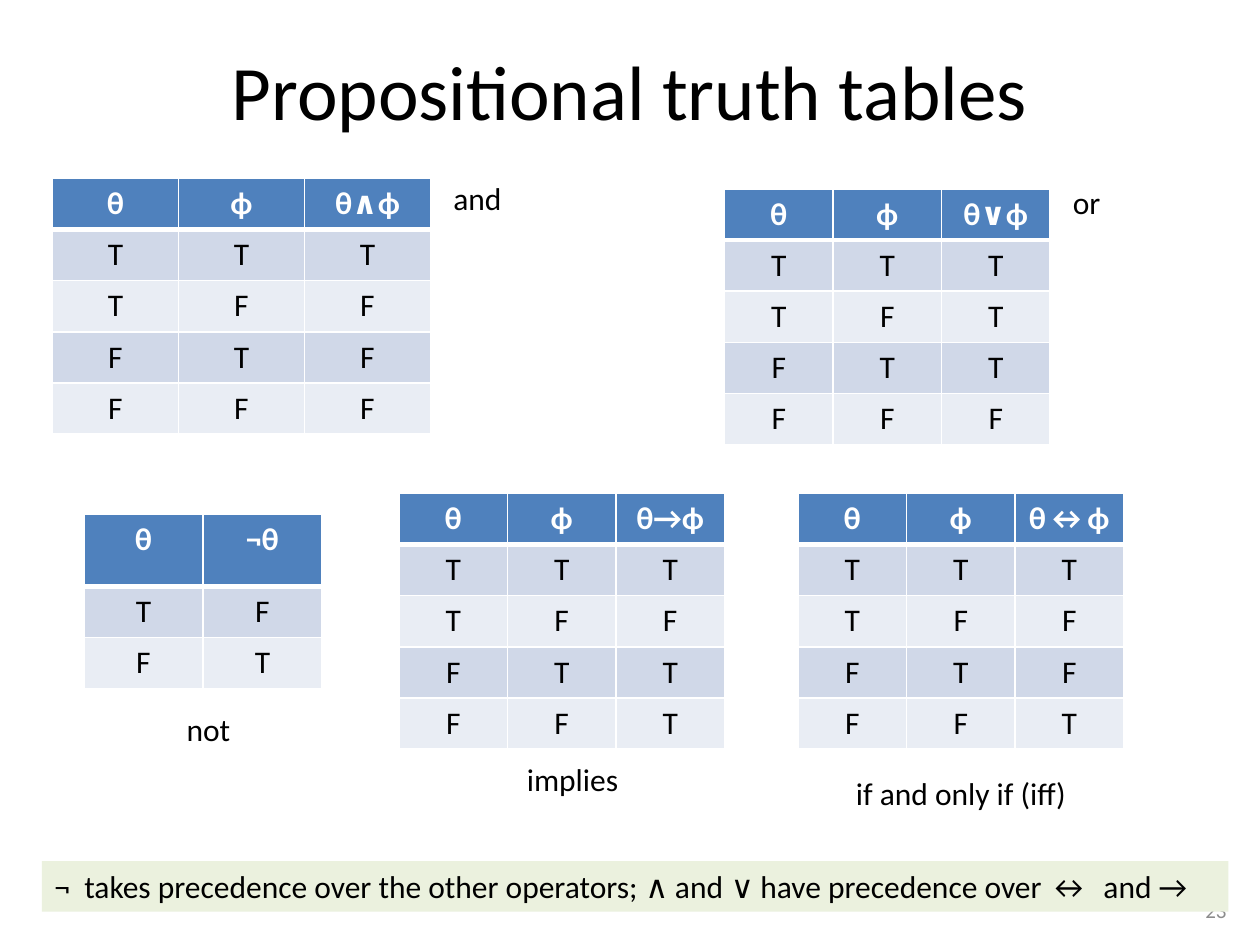
from dataclasses import dataclass
from itertools import product

from lxml.etree import SubElement
from pptx import Presentation
from pptx.dml.color import RGBColor as RGB
from pptx.enum.shapes import MSO_SHAPE as Shape
from pptx.enum.text import MSO_ANCHOR as Anchor, MSO_AUTO_SIZE as Fit, PP_ALIGN as Align
from pptx.oxml.ns import qn
from pptx.util import Pt


@dataclass(frozen=True)
class Theme:
    font: str = "Calibri"
    ink: str = "000000"
    white: str = "FFFFFF"
    head: str = "4F81BD"
    bands: tuple = ("D0D8E8", "E9EDF4")
    note: str = "EBF1DE"
    gray: str = "8C8C8C"
    title: int = 44
    body: int = 18
    small: int = 12
    rule: int = 1
    thick: int = 3


THEME = Theme()
ROW = 29.2

# left, top, column width, head height, column names, operator
TABLES = [
    (30, 102, 72, ROW, ("θ", "ϕ", "θ∧ϕ"), lambda a, b: a and b),
    (414, 108, 62, ROW, ("θ", "ϕ", "θ∨ϕ"), lambda a, b: a or b),
    (48, 294, 68, 41, ("θ", "¬θ"), lambda a: not a),
    (228, 282, 62, ROW, ("θ", "ϕ", "θ→ϕ"), lambda a, b: not a or b),
    (456, 282, 62, ROW, ("θ", "ϕ", "θ↔ϕ"), lambda a, b: a == b),
]

LABELS = [
    ("and", 252, 98.5, 42.5),
    ("or", 606, 101, 30.5),
    ("not", 99.5, 402, 39.5),
    ("implies", 294, 431, 67),
    ("if and only if (iff)", 482, 439, 137),
]


def write(frame, text, size=THEME.body, color=THEME.ink, bold=False,
          align=Align.LEFT, anchor=Anchor.TOP, wrap=True, fit=Fit.NONE):
    frame.word_wrap = wrap
    frame.auto_size = fit
    frame.vertical_anchor = anchor
    para = frame.paragraphs[0]
    para.alignment = align
    run = para.add_run()
    run.text = text
    style(run.font, size, color, bold)


def style(font, size, color, bold):
    font.name = THEME.font
    font.size = Pt(size)
    font.bold = bold
    font.color.rgb = RGB.from_string(color)


def add_text(slide, text, left, top, width, height, **kw):
    box = slide.shapes.add_textbox(Pt(left), Pt(top), Pt(width), Pt(height))
    write(box.text_frame, text, **kw)


def add_note(slide, text, left, top, width, height):
    bar = slide.shapes.add_shape(Shape.RECTANGLE, Pt(left), Pt(top), Pt(width), Pt(height))
    bar.shadow.inherit = False
    bar.fill.solid()
    bar.fill.fore_color.rgb = RGB.from_string(THEME.note)
    bar.line.fill.background()
    write(bar.text_frame, text, fit=Fit.SHAPE_TO_FIT_TEXT)


def set_edges(cell, top, bottom):
    """Rule all four sides of a cell in white; must precede its fill."""
    props = cell._tc.get_or_add_tcPr()
    widths = {"lnL": THEME.rule, "lnR": THEME.rule, "lnT": top, "lnB": bottom}
    for side, width in widths.items():
        line = SubElement(props, qn("a:" + side), w=str(Pt(width)))
        fill = SubElement(line, qn("a:solidFill"))
        SubElement(fill, qn("a:srgbClr"), val=THEME.white)


def set_cell(cell, text, row):
    head = row == 0
    set_edges(cell, THEME.thick if row == 1 else THEME.rule,
              THEME.thick if head else THEME.rule)
    cell.fill.solid()
    color = THEME.head if head else THEME.bands[(row - 1) % 2]
    cell.fill.fore_color.rgb = RGB.from_string(color)
    para = cell.text_frame.paragraphs[0]
    para.alignment = Align.CENTER
    run = para.add_run()
    run.text = text
    style(run.font, THEME.body, THEME.white if head else THEME.ink, head)


def truth_rows(names, rule):
    """Head row, then one row for each assignment, T before F."""
    rows = [names]
    for args in product((True, False), repeat=len(names) - 1):
        rows.append(["T" if val else "F" for val in (*args, rule(*args))])
    return rows


def add_truth(slide, left, top, width, head, names, rule):
    rows = truth_rows(names, rule)
    high = head + ROW * (len(rows) - 1)
    table = slide.shapes.add_table(len(rows), len(names), Pt(left), Pt(top),
                                   Pt(width * len(names)), Pt(high)).table
    for col in table.columns:
        col.width = Pt(width)
    for i, row in enumerate(rows):
        table.rows[i].height = Pt(ROW if i else head)
        for j, text in enumerate(row):
            set_cell(table.cell(i, j), text, i)


def main():
    deck = Presentation()
    deck.slide_width, deck.slide_height = Pt(720), Pt(540)
    slide = deck.slides.add_slide(deck.slide_layouts[6])
    add_text(slide, "Propositional truth tables", 36, 6, 648, 90,
             size=THEME.title, align=Align.CENTER, anchor=Anchor.MIDDLE)
    for table in TABLES:
        add_truth(slide, *table)
    add_text(slide, "23", 540, 505.5, 168, 28.75, size=THEME.small,
             color=THEME.gray, align=Align.RIGHT, anchor=Anchor.MIDDLE)
    for text, left, top, width in LABELS:
        add_text(slide, text, left, top, width, 29, wrap=False,
                 fit=Fit.SHAPE_TO_FIT_TEXT)
    add_note(slide, "¬  takes precedence over the other operators; "
             "∧ and ∨ have precedence over ↔  and →", 24, 492, 678, 29)
    deck.save("out.pptx")


if __name__ == "__main__":
    main()
